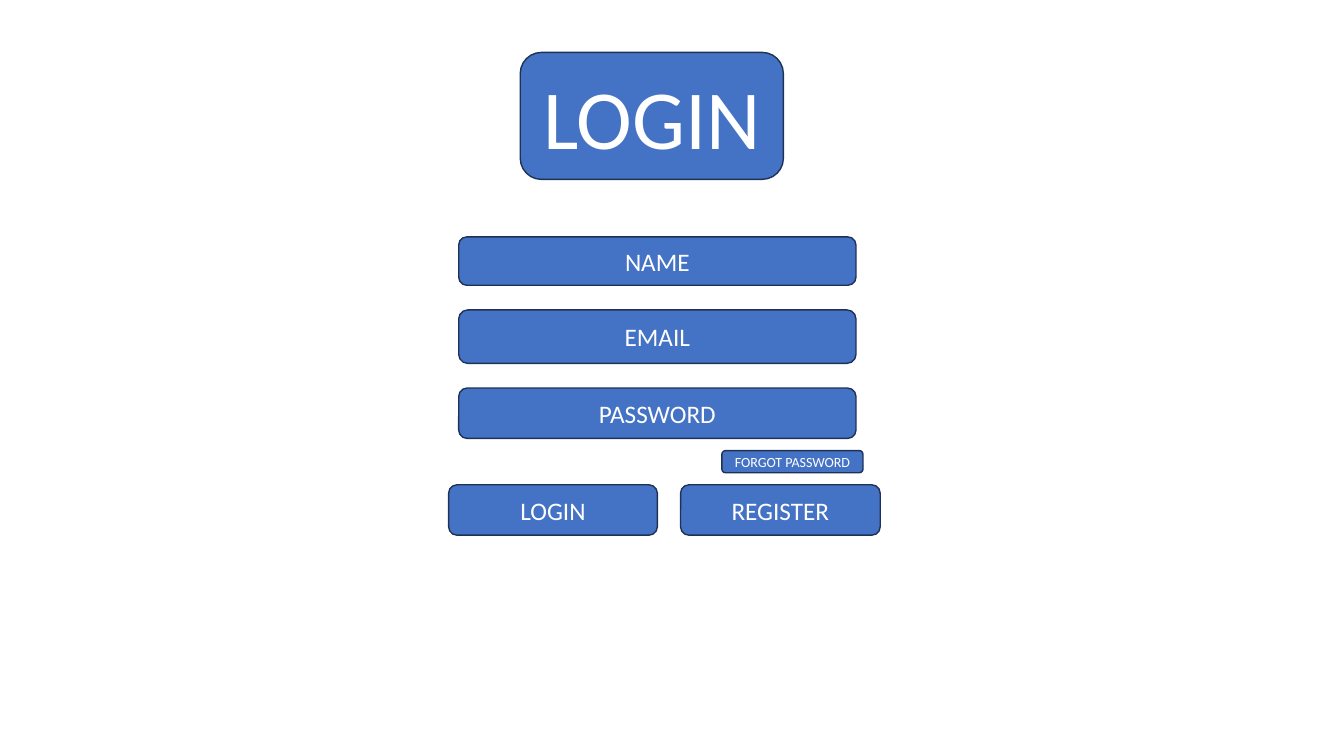
from dataclasses import dataclass

from pptx import Presentation
from pptx import util as u
from pptx.dml import color
from pptx.enum import shapes, text


@dataclass(frozen=True)
class Theme:
    font: str = "Calibri"
    fill: str = "4472C4"
    outline: str = "1E3256"
    lettering: str = "FFFFFF"
    background: str = "FFFFFF"
    outline_width: float = 1
    title_size: int = 60
    body_size: int = 18
    small_size: int = 10


def write_text(frame, content, *, font, size, ink, align=text.PP_ALIGN.CENTER):
    frame.word_wrap = True
    frame.vertical_anchor = text.MSO_ANCHOR.MIDDLE
    paragraph = frame.paragraphs[0]
    paragraph.alignment = align
    run = paragraph.add_run()
    run.text = content
    run.font.name = font
    run.font.size = u.Pt(size)
    run.font.color.rgb = color.RGBColor.from_string(ink)


class FormSlide:
    CELL = 0.1

    def __init__(self, presentation, theme):
        self.theme = theme
        self.slide = presentation.slides.add_slide(presentation.slide_layouts[6])
        background = self.slide.background.fill
        background.solid()
        background.fore_color.rgb = color.RGBColor.from_string(theme.background)

    def button(self, label, column, row, columns, rows, size=None):
        box = [u.Inches(cells * self.CELL) for cells in (column, row, columns, rows)]
        shape = self.slide.shapes.add_shape(shapes.MSO_SHAPE.ROUNDED_RECTANGLE, *box)
        shape.shadow.inherit = False
        shape.fill.solid()
        shape.fill.fore_color.rgb = color.RGBColor.from_string(self.theme.fill)
        shape.line.color.rgb = color.RGBColor.from_string(self.theme.outline)
        shape.line.width = u.Pt(self.theme.outline_width)
        write_text(shape.text_frame, label, font=self.theme.font,
                   size=size or self.theme.body_size, ink=self.theme.lettering)

    def field_stack(self, fields, column, row, columns, gap):
        for label, rows in fields:
            self.button(label, column, row, columns, rows)
            row += rows + gap

    def button_row(self, buttons, column, row, rows, gap):
        for label, columns in buttons:
            self.button(label, column, row, columns, rows)
            column += columns + gap


def main():
    presentation = Presentation()
    presentation.slide_width = u.Inches(13.33)
    presentation.slide_height = u.Inches(7.5)
    theme = Theme()
    form = FormSlide(presentation, theme)
    form.button("LOGIN", 51.6, 5.2, 26.1, 12.6, theme.title_size)
    form.field_stack([("NAME", 4.8), ("EMAIL", 5.3), ("PASSWORD", 5)],
                     column=45.5, row=23.5, columns=39.4, gap=2.45)
    form.button("FORGOT PASSWORD", 71.6, 44.7, 14, 2.2, theme.small_size)
    form.button_row([("LOGIN", 20.7), ("REGISTER", 19.8)],
                    column=44.5, row=48.1, rows=5, gap=2.3)
    presentation.save("out.pptx")


if __name__ == "__main__":
    main()
